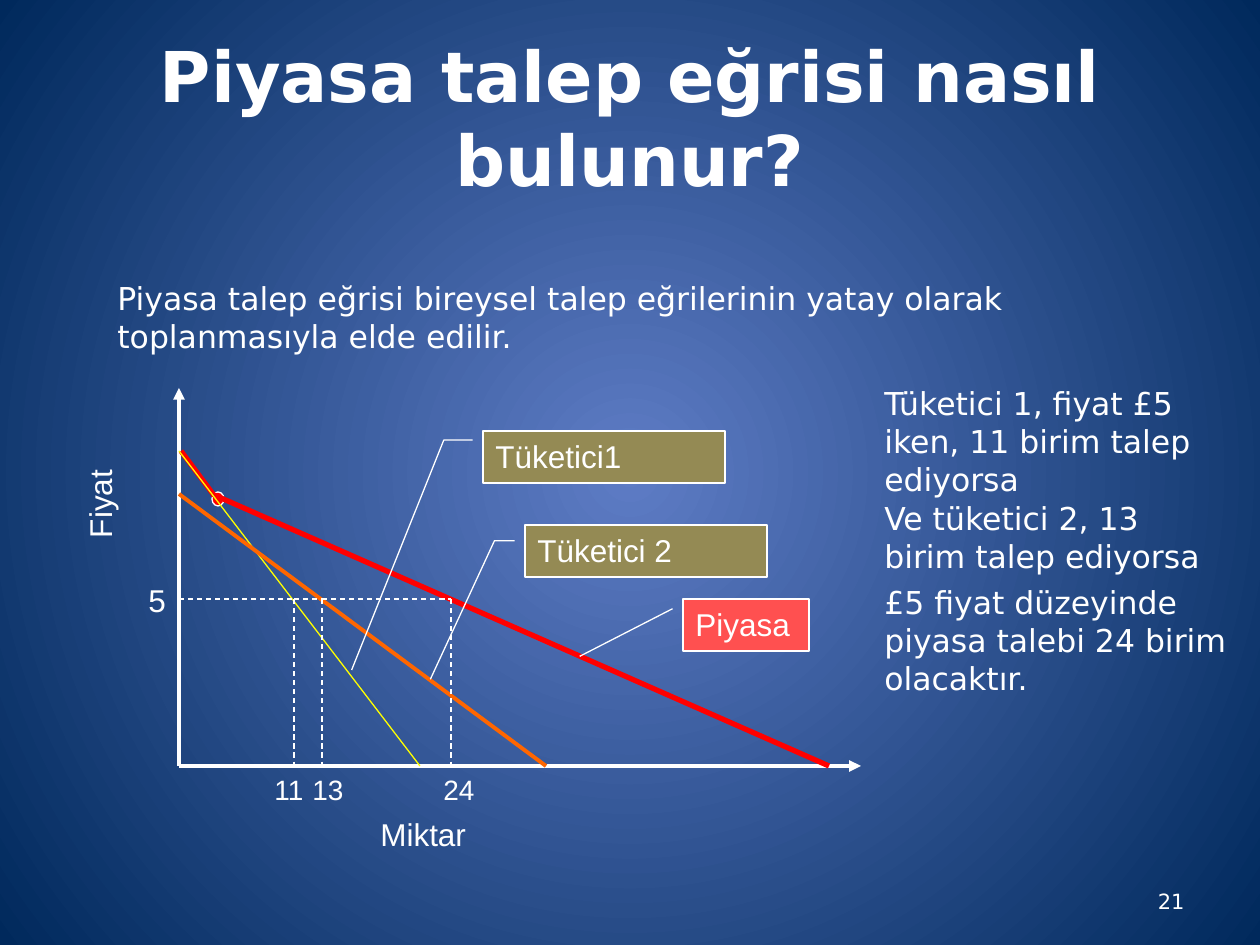
import pptx
import pptx.util
import pptx.dml.color
import pptx.enum.dml
import pptx.enum.shapes
import pptx.enum.text
import pptx.oxml
import pptx.oxml.ns
import lxml.etree

SCALE = 914400 / 126
WHITE, RED, YELLOW, ORANGE = "FFFFFF", "FF0000", "FFFF00", "FF6600"
OLIVE, CORAL = "948A54", "FF5050"
BODY, LABEL = "DejaVu Sans", "Arial"
SHAPE = pptx.enum.shapes.MSO_SHAPE
ALIGN = pptx.enum.text.PP_ALIGN
ANCHOR = pptx.enum.text.MSO_ANCHOR
FIT = pptx.enum.text.MSO_AUTO_SIZE

TITLE = "Piyasa talep eğrisi nasıl bulunur?"
ORIGIN_X, ORIGIN_Y, PRICE_Y = 179, 766, 599
AXIS_TOP, AXIS_RIGHT = 388, 861

# start, end, colour, width
CURVES = [
    ((181, 451), (213, 494), RED, 3),
    ((212, 494), (829, ORIGIN_Y), RED, 3),
    ((ORIGIN_X, 451), (420, ORIGIN_Y), YELLOW, 0.75),
    ((ORIGIN_X, 494), (546, ORIGIN_Y), ORANGE, 2.25),
]
KINK = (212, 492, 12, 14)
# quantity, guide x, label left
QUANTITIES = [("11", 294, 262), ("13", 322, 300), ("24", 451, 431)]

# text, box, kind, fill, adjustments
CALLOUTS = [
    ("Piyasa", (683, 599, 126, 52), SHAPE.LINE_CALLOUT_1, CORAL,
     (0.188, -0.083, 1.104, -0.819)),
    ("Tüketici1", (483, 431, 242, 52), SHAPE.LINE_CALLOUT_2, OLIVE,
     (0.176, -0.043, 0.176, -0.162, 4.6, -0.543)),
    ("Tüketici 2", (525, 525, 242, 52), SHAPE.LINE_CALLOUT_2, OLIVE,
     (0.304, -0.043, 0.304, -0.126, 2.97, -0.391)),
]
AXIS_LABELS = [
    ("Miktar", (368, 809, 199, 50), 0),
    ("Fiyat", (47, 473, 105, 50), 270),
    ("5", (136, 575, 53, 50), 0),
]
NOTES = [
    ("Piyasa talep eğrisi bireysel talep eğrilerinin yatay olarak "
     "toplanmasıyla elde edilir.", (105, 273, 1050, 97)),
    ("Tüketici 1, fiyat £5 iken, 11 birim talep ediyorsa", (872, 378, 368, 88)),
    ("Ve tüketici 2, 13 birim talep ediyorsa", (872, 493, 368, 88)),
    ("£5 fiyat düzeyinde piyasa talebi 24 birim olacaktır.", (872, 577, 368, 126)),
]


def px(*lengths):
    """Turn pixel lengths into EMU."""
    return [pptx.util.Emu(round(length * SCALE)) for length in lengths]


def rgb(value):
    """Turn a hex string into a colour."""
    return pptx.dml.color.RGBColor.from_string(value)


def write(shape, text, size=18, font=LABEL, color=WHITE, bold=False,
          align=ALIGN.LEFT, anchor=ANCHOR.TOP, fit=FIT.SHAPE_TO_FIT_TEXT):
    """Write formatted text into a shape."""
    frame = shape.text_frame
    frame.word_wrap = True
    frame.auto_size = fit
    frame.vertical_anchor = anchor
    paragraph = frame.paragraphs[0]
    paragraph.alignment = align
    run = paragraph.add_run()
    run.text = text
    run.font.size = pptx.util.Pt(size)
    run.font.name = font
    run.font.bold = bold
    run.font.color.rgb = rgb(color)


def add_text(text, box, rotation=0, **style):
    """Add a text box."""
    shape = slide.shapes.add_textbox(*px(*box))
    shape.rotation = rotation
    write(shape, text, **style)


def add_line(start, end, color=WHITE, width=0.75, dashed=False, arrow=False):
    """Add a straight line, optionally dashed or with an arrowhead."""
    line = slide.shapes.add_connector(
        pptx.enum.shapes.MSO_CONNECTOR.STRAIGHT, *px(*start, *end))
    line.line.color.rgb = rgb(color)
    line.line.width = pptx.util.Pt(width)
    if dashed:
        line.line.dash_style = pptx.enum.dml.MSO_LINE.DASH
    qn = pptx.oxml.ns.qn
    if arrow:
        lxml.etree.SubElement(line.line._get_or_add_ln(), qn("a:tailEnd"), type="triangle")
    lxml.etree.SubElement(line._element.spPr, qn("a:effectLst"))


def add_shape(kind, box, fill):
    """Add a filled preset shape with a thin white outline."""
    shape = slide.shapes.add_shape(kind, *px(*box))
    shape.shadow.inherit = False
    shape.fill.solid()
    shape.fill.fore_color.rgb = rgb(fill)
    shape.line.color.rgb = rgb(WHITE)
    shape.line.width = pptx.util.Pt(0.75)
    return shape


def paint_background(center, edge):
    """Fill the background with a circular gradient."""
    fill = slide.background.fill
    fill.gradient()
    for stop, color in zip(fill.gradient_stops, (center, edge)):
        stop.color.rgb = rgb(color)
    for stop, position in zip(fill.gradient_stops, (0, 1)):
        stop.position = position
    gradient = slide._element.find(".//" + pptx.oxml.ns.qn("a:gradFill"))
    linear = gradient.find(pptx.oxml.ns.qn("a:lin"))
    gradient.replace(linear, pptx.oxml.parse_xml(
        '<a:path %s path="circle"><a:fillToRect l="50000" t="50000" '
        'r="50000" b="50000"/></a:path>' % pptx.oxml.ns.nsdecls("a")))


deck = pptx.Presentation()
deck.slide_width, deck.slide_height = px(1260, 945)
slide = deck.slides.add_slide(deck.slide_layouts[5])
paint_background("5E7CC5", "00295C")

title = slide.shapes.title
title.left, title.top, title.width, title.height = px(63, 38, 1134, 157)
write(title, TITLE, size=40, font=BODY, bold=True, align=ALIGN.CENTER,
      anchor=ANCHOR.MIDDLE, fit=FIT.NONE)
add_text("21", (903, 876, 294, 50), size=12, font=BODY, align=ALIGN.RIGHT,
         anchor=ANCHOR.MIDDLE, fit=FIT.NONE)

for axis_end in ((ORIGIN_X, AXIS_TOP), (AXIS_RIGHT, ORIGIN_Y)):
    add_line((ORIGIN_X, ORIGIN_Y), axis_end, width=2.25, arrow=True)

add_shape(SHAPE.OVAL, KINK, RED)
for start, end, color, width in CURVES:
    add_line(start, end, color, width)

previous_x = ORIGIN_X
for quantity, guide_x, label_left in QUANTITIES:
    add_line((previous_x, PRICE_Y), (guide_x, PRICE_Y), dashed=True)
    add_line((guide_x, PRICE_Y), (guide_x, ORIGIN_Y), dashed=True)
    add_text(quantity, (label_left, ORIGIN_Y, 63, 47), size=16)
    previous_x = guide_x

for text, box, kind, fill, adjustments in CALLOUTS:
    callout = add_shape(kind, box, fill)
    for index, value in enumerate(adjustments):
        callout.adjustments[index] = value
    write(callout, text)

for text, box, rotation in AXIS_LABELS:
    add_text(text, box, rotation)
for text, box in NOTES:
    add_text(text, box, font=BODY)

deck.save("out.pptx")
